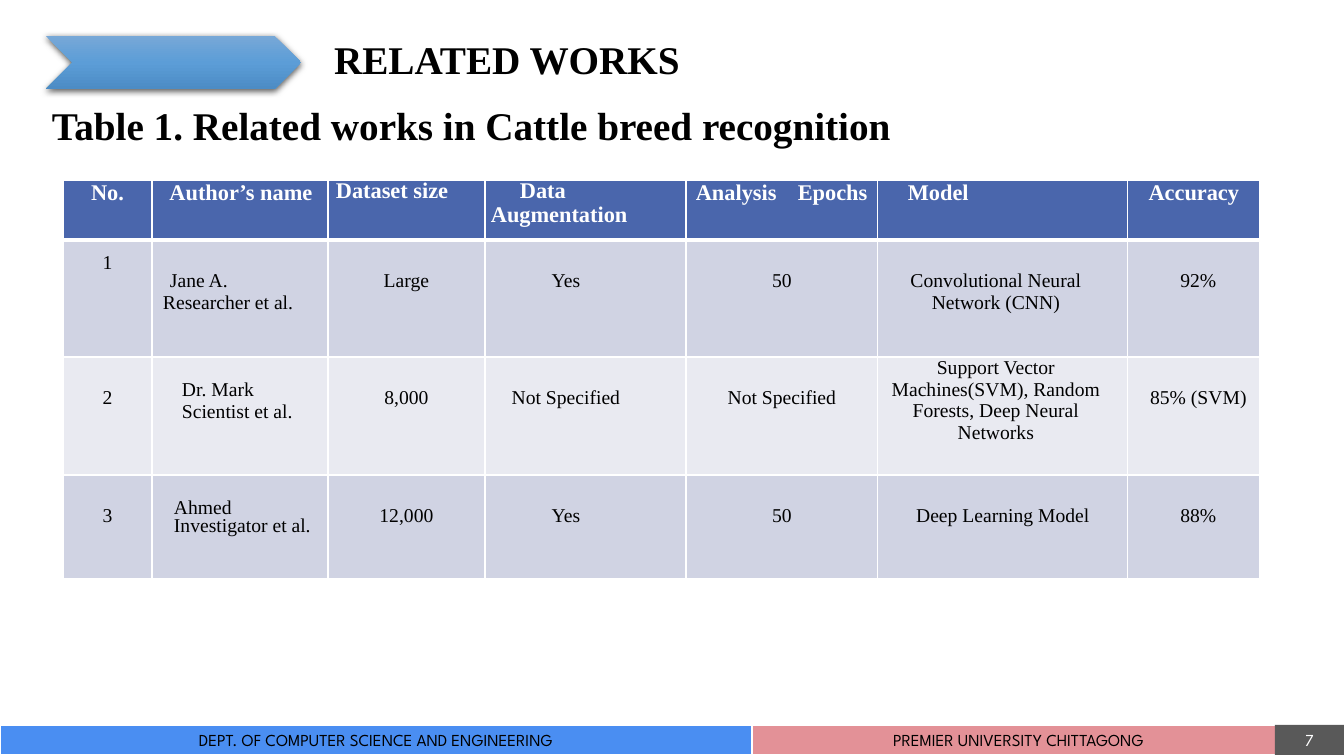
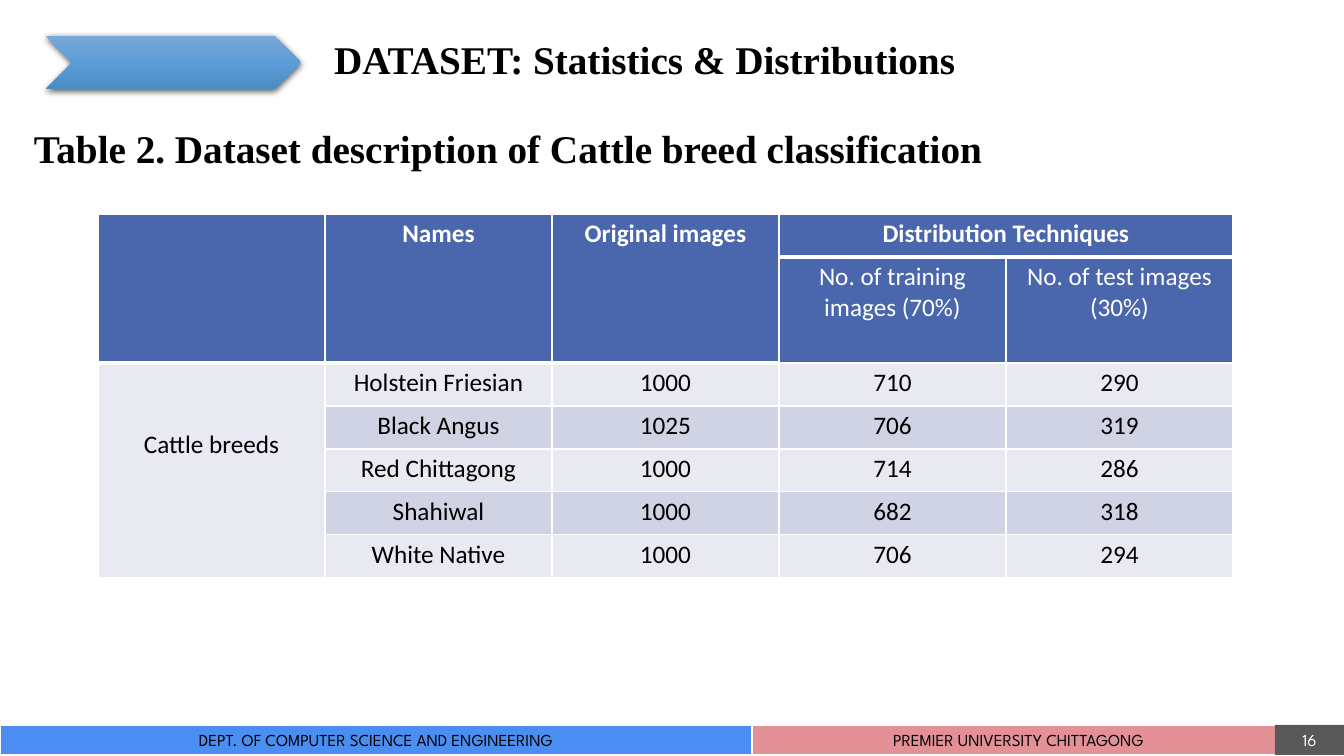
from lxml.etree import SubElement
from pptx import Presentation
from pptx.dml.color import RGBColor
from pptx.enum.shapes import MSO_SHAPE as Shape
from pptx.enum.text import MSO_ANCHOR as Anchor, MSO_AUTO_SIZE as AutoSize, PP_ALIGN as Align
from pptx.oxml.ns import qn
from pptx.util import Emu, Pt

PX = 12192000 / 1344
SLIDE_SIZE = (1344, 756)
COLORS = {
    "black": "000000", "white": "FFFFFF",
    "department": "4A8EF2", "university": "E39197", "number": "595959",
    "header": "4A66AC", "odd row": "D0D3E3", "even row": "E9EAF1",
    "arrow top": "77A8D7", "arrow middle": "5C9DD7", "arrow bottom": "4C8CC5",
}
SERIF, SANS, FOOTER_FONT = "Times New Roman", "Calibri", "League Spartan"

# Footer bands: text, left, width, fill, text colour, outlined
FOOTER = [
    ("DEPT. OF COMPUTER SCIENCE AND ENGINEERING", 0, 752, "department", "black", True),
    ("PREMIER UNIVERSITY CHITTAGONG", 752, 533, "university", "black", True),
    ("{number}", 1275, 69, "number", "white", False),
]

RELATED_WORKS = {
    "at": (63, 180), "columns": [89, 176, 157, 201, 192, 250, 132], "heights": [60, 117, 118, 104],
    "font": SERIF, "header size": 16, "body size": 14, "header rows": 1, "bold rows": 1,
    "rows": [
        ["No.", "Author’s name", "Dataset size", "Data Augmentation", "Analysis\tEpochs", "Model", "Accuracy"],
        ["1", "Jane A. Researcher et al.", "Large", "Yes", "50", "Convolutional Neural Network (CNN)", "92%"],
        ["2", "Dr. Mark Scientist et al.", "8,000", "Not Specified", "Not Specified",
         "Support Vector Machines(SVM), Random Forests, Deep Neural Networks", "85% (SVM)"],
        ["3", "Ahmed Investigator et al.", "12,000", "Yes", "50", "Deep Learning Model", "88%"],
    ],
    "spans": [],
    "header margins": (0, 0, 0, 0),
    "body margins": (0, 30, 0, 0),
    # Body columns whose centred text sits off the middle: left and right margin
    "column sides": {3: (0, 39), 5: (2, 16), 6: (9, 0)},
    "tweaks": {
        (0, 1): {"left": 2},
        (0, 2): {"align": Align.LEFT, "left": 8, "spacing": 0.95},
        (0, 3): {"align": Align.LEFT, "left": 6, "indent": 29, "spacing": 0.95},
        (0, 4): {"align": Align.LEFT, "left": 10, "tab": 102},
        (0, 5): {"align": Align.LEFT, "left": 30},
        (1, 0): {"top": 12},
        (1, 1): {"align": Align.LEFT, "left": 11, "right": 30, "indent": 7},
        (2, 1): {"align": Align.LEFT, "left": 30, "right": 30, "top": 22},
        (2, 5): {"top": 0},
        (3, 1): {"align": Align.LEFT, "left": 22, "right": 14, "top": 26, "spacing": Pt(12.6)},
        (3, 5): {"left": 0, "right": 0},
    },
}

DATASET = {
    "at": (98, 214), "columns": [227] * 5, "heights": [43, 106] + [43] * 5,
    "font": SANS, "header size": 18, "body size": 18, "header rows": 2, "bold rows": 1,
    "rows": [
        ["", "Names", "Original images", "Distribution Techniques", ""],
        ["", "", "", "No. of training images (70%)", "No. of test images (30%)"],
        ["Cattle breeds", "Holstein Friesian", "1000", "710", "290"],
        ["", "Black Angus", "1025", "706", "319"],
        ["", "Red Chittagong", "1000", "714", "286"],
        ["", "Shahiwal", "1000", "682", "318"],
        ["", "White Native", "1000", "706", "294"],
    ],
    # Merged areas: first cell, last cell
    "spans": [((0, 0), (1, 0)), ((0, 1), (1, 1)), ((0, 2), (1, 2)), ((0, 3), (0, 4)), ((2, 0), (6, 0))],
    "header margins": (10, 5, 10, 5),
    "body margins": (10, 5, 10, 5),
    "column sides": {},
    "tweaks": {(2, 0): {"top": 67}},
}

SLIDES = [
    {"number": 7, "title": "RELATED WORKS", "table": RELATED_WORKS,
     "caption": "Table 1. Related works in Cattle breed recognition", "caption at": (42, 102, 888, 60)},
    {"number": 16, "title": "DATASET: Statistics & Distributions", "table": DATASET,
     "caption": "Table 2. Dataset description of Cattle breed classification",
     "caption at": (24, 125, 1095, 60)},
]


def px(*lengths):
    return [Emu(round(length * PX)) for length in lengths]


def rgb(name):
    return RGBColor.from_string(COLORS[name])


def set_font(paragraph, name, size, color, bold=False):
    font = paragraph.font
    font.name, font.size, font.bold = name, Pt(size), bold
    font.color.rgb = rgb(color)


def write_heading(box, text):
    """Style shared by the slide title and the table caption."""
    frame = box.text_frame
    frame.text = text
    frame.word_wrap = True
    frame.auto_size = AutoSize.NONE
    frame.vertical_anchor = Anchor.TOP
    paragraph = frame.paragraphs[0]
    paragraph.alignment = Align.LEFT
    paragraph.line_spacing = 0.9
    set_font(paragraph, SERIF, 28, "black", True)


def add_arrow(slide):
    arrow = slide.shapes.add_shape(Shape.CHEVRON, *px(46, 36, 255, 53))
    arrow.line.fill.background()
    arrow.fill.gradient()
    arrow.fill.gradient_angle = 270
    properties = arrow._element.spPr
    stops = properties.find(".//" + qn("a:gsLst"))
    for stop in list(stops):
        stops.remove(stop)
    for position, color in ((0, "arrow top"), (50000, "arrow middle"), (100000, "arrow bottom")):
        stop = SubElement(stops, qn("a:gs"), pos=str(position))
        SubElement(stop, qn("a:srgbClr"), val=COLORS[color])
    arrow.shadow.inherit = False
    shadow = SubElement(properties.find(qn("a:effectLst")), qn("a:outerShdw"),
                        blurRad=str(Pt(4.5)), dist=str(Pt(1.5)), dir="5400000",
                        algn="ctr", rotWithShape="0")
    shade = SubElement(shadow, qn("a:srgbClr"), val=COLORS["black"])
    SubElement(shade, qn("a:alpha"), val="63000")


def add_footer(slide, number):
    for text, left, width, fill, color, outlined in FOOTER:
        band = slide.shapes.add_shape(Shape.RECTANGLE, *px(left, 725, width, 30))
        band.shadow.inherit = False
        band.fill.solid()
        band.fill.fore_color.rgb = rgb(fill)
        if outlined:
            band.line.color.rgb = rgb("white")
            band.line.width = Pt(1.5)
        else:
            band.line.fill.background()
        frame = band.text_frame
        frame.text = text.format(number=number)
        frame.vertical_anchor = Anchor.MIDDLE
        frame.paragraphs[0].alignment = Align.CENTER
        set_font(frame.paragraphs[0], FOOTER_FONT, 12, color)


def add_borders(cell, row):
    """White rules, thicker under the first row; must come before the fill."""
    widths = {"a:lnL": 1, "a:lnR": 1}
    if row == 0:
        widths["a:lnT"] = 1
    widths["a:lnB"] = 3 if row == 0 else 1
    properties = cell._tc.get_or_add_tcPr()
    for tag, width in widths.items():
        line = SubElement(properties, qn(tag), w=str(Pt(width)))
        SubElement(SubElement(line, qn("a:solidFill")), qn("a:srgbClr"), val=COLORS["white"])


def fill_cell(cell, content, row, column):
    is_header = row < content["header rows"]
    tweak = content["tweaks"].get((row, column), {})
    left, top, right, bottom = content["header margins" if is_header else "body margins"]
    if not is_header:
        left, right = content["column sides"].get(column, (left, right))
    add_borders(cell, row)
    cell.fill.solid()
    cell.fill.fore_color.rgb = rgb("header" if is_header else "odd row" if row % 2 else "even row")
    cell.margin_left, cell.margin_top, cell.margin_right, cell.margin_bottom = px(
        tweak.get("left", left), tweak.get("top", top), tweak.get("right", right), bottom)
    cell.text = content["rows"][row][column]
    paragraph = cell.text_frame.paragraphs[0]
    properties = paragraph._p.get_or_add_pPr()
    if "tab" in tweak:
        stops = SubElement(properties, qn("a:tabLst"))
        SubElement(stops, qn("a:tab"), pos=str(px(tweak["tab"])[0]), algn="l")
    if "indent" in tweak:
        properties.set("indent", str(px(tweak["indent"])[0]))
    if "spacing" in tweak:
        paragraph.line_spacing = tweak["spacing"]
    paragraph.alignment = tweak.get("align", Align.CENTER)
    set_font(paragraph, content["font"], content["header size" if is_header else "body size"],
             "white" if is_header else "black", row < content["bold rows"])


def add_data_table(slide, content):
    columns, heights = content["columns"], content["heights"]
    table = slide.shapes.add_table(len(heights), len(columns),
                                   *px(*content["at"], sum(columns), sum(heights))).table
    for column, width in zip(table.columns, px(*columns)):
        column.width = width
    for row, height in zip(table.rows, px(*heights)):
        row.height = height
    for first, last in content["spans"]:
        table.cell(*first).merge(table.cell(*last))
    for row in range(len(heights)):
        for column in range(len(columns)):
            cell = table.cell(row, column)
            if not cell.is_spanned:
                fill_cell(cell, content, row, column)


def main():
    deck = Presentation()
    deck.slide_width, deck.slide_height = px(*SLIDE_SIZE)
    title_only = deck.slide_layouts[5]
    for content in SLIDES:
        slide = deck.slides.add_slide(title_only)
        add_footer(slide, content["number"])
        add_arrow(slide)
        title = slide.shapes.title
        title.left, title.top, title.width, title.height = px(324, 36, 888, 60)
        write_heading(title, content["title"])
        write_heading(slide.shapes.add_textbox(*px(*content["caption at"])), content["caption"])
        add_data_table(slide, content["table"])
    deck.save("out.pptx")


if __name__ == "__main__":
    main()
